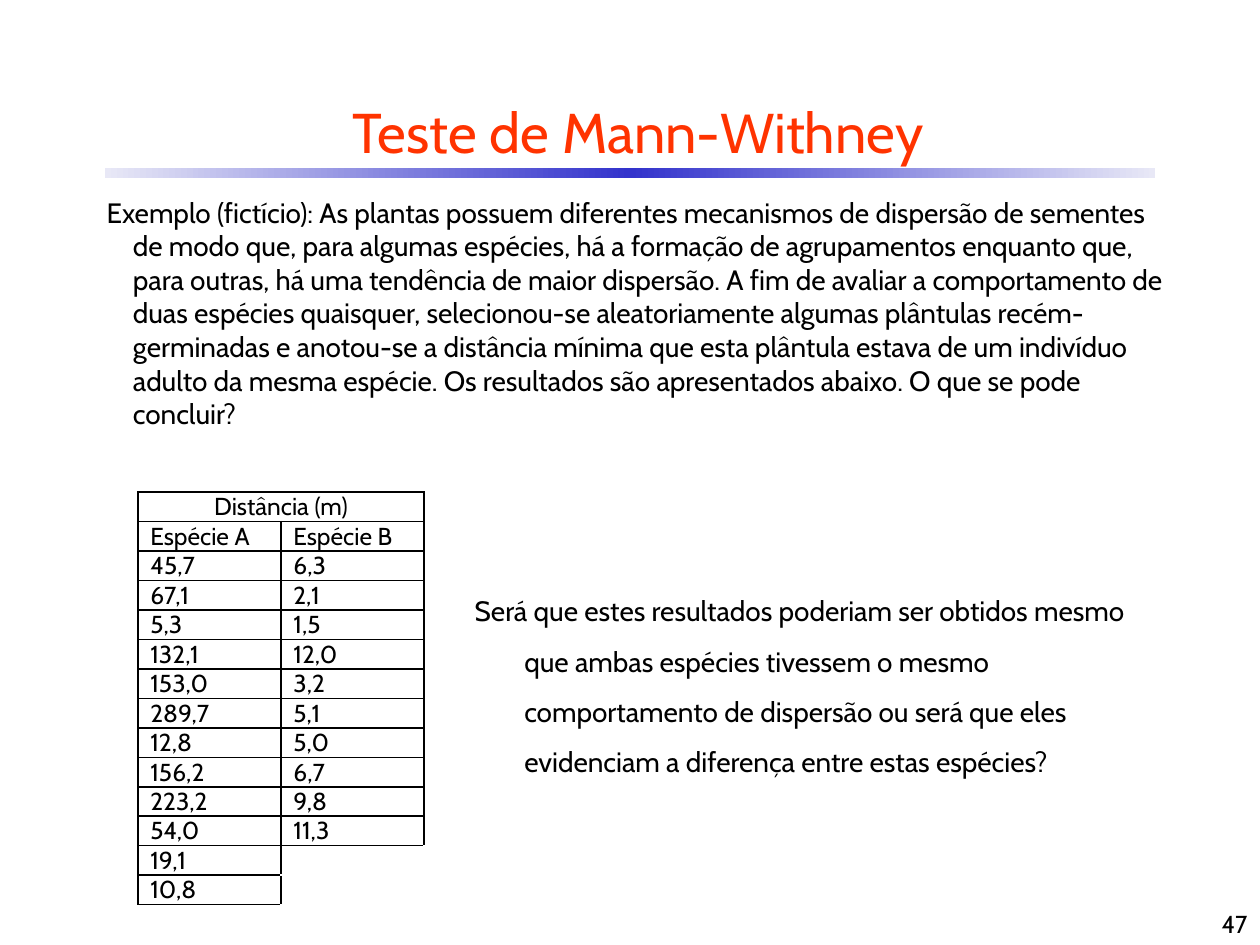
from copy import deepcopy
from itertools import zip_longest

from lxml import etree
from pptx import Presentation
from pptx import util as u
from pptx.dml.color import RGBColor
from pptx.enum import shapes, text
from pptx.oxml import ns

ALIGN = text.PP_ALIGN
ANCHOR = text.MSO_ANCHOR


def color(hex_code):
    return RGBColor.from_string(hex_code)


def write(frame, words, size=16, ink="000000", align=ALIGN.LEFT, hanging=0, spacing=None):
    """Fill the frame's first paragraph; hanging is the indent in cm."""
    paragraph = frame.paragraphs[0]
    paragraph.alignment = align
    if spacing:
        paragraph.line_spacing = spacing
    if hanging:
        properties = paragraph._p.get_or_add_pPr()
        properties.set("marL", str(u.Cm(hanging)))
        properties.set("indent", str(u.Cm(-hanging)))
    if not words:  # keeps an empty table row from growing
        etree.SubElement(paragraph._p, ns.qn("a:endParaRPr"), sz=str(size * 100))
        return
    run = paragraph.add_run()
    run.text = words
    run.font.name = "Cabin"
    run.font.size = u.Pt(size)
    run.font.color.rgb = color(ink)


deck = Presentation()
deck.slide_width, deck.slide_height = u.Cm(25.4), u.Cm(19.05)
slide = deck.slides.add_slide(deck.slide_layouts[6])

# Rule under the title, fading towards both ends
rule = slide.shapes.add_shape(
    shapes.MSO_SHAPE.RECTANGLE, u.Cm(2.12), u.Cm(3.39), u.Cm(21.17), u.Cm(0.21))
rule.shadow.inherit = False
rule.line.fill.background()
rule.fill.gradient()
rule.fill.gradient_angle = 0
first_stop = rule.fill._fill._gradFill.gsLst[0]
first_stop.addnext(deepcopy(first_stop))
for stop, (place, shade) in zip(
        rule.fill.gradient_stops, [(0, "E8E8F6"), (0.5, "3333CC"), (1, "E8E8F6")]):
    stop.position = place
    stop.color.rgb = color(shade)

# Title, example, question and page number
example = (
    "Exemplo (fictício): As plantas possuem diferentes mecanismos de dispersão de sementes "
    "de modo que, para algumas espécies, há a formação de agrupamentos enquanto que, para "
    "outras, há uma tendência de maior dispersão. A fim de avaliar a comportamento de duas "
    "espécies quaisquer, selecionou-se aleatoriamente algumas plântulas recém-germinadas e "
    "anotou-se a distância mínima que esta plântula estava de um indivíduo adulto da mesma "
    "espécie. Os resultados são apresentados abaixo. O que se pode concluir?")
question = (
    "Será que estes resultados poderiam ser obtidos mesmo que ambas espécies tivessem o "
    "mesmo comportamento de dispersão ou será que eles evidenciam a diferença entre estas "
    "espécies?")
passages = [
    ("Teste de Mann-Withney", (0.84, 1.7, 24.05, 1.9), ANCHOR.MIDDLE,
     dict(size=32, ink="FF3300", align=ALIGN.CENTER)),
    (example, (1.9, 3.81, 22.1, 5.05), ANCHOR.TOP, dict(hanging=0.53)),
    (question, (9.32, 11.51, 14.1, 4.24), ANCHOR.TOP, dict(hanging=1, spacing=1.5)),
    ("47", (20.12, 17.78, 5.28, 1.27), ANCHOR.BOTTOM, dict(size=14, align=ALIGN.RIGHT)),
]
for words, place, anchor, style in passages:
    frame = slide.shapes.add_textbox(*map(u.Cm, place)).text_frame
    frame.word_wrap = True
    frame.vertical_anchor = anchor
    write(frame, words, **style)

# Distances measured for each species
species_a = ["45,7", "67,1", "5,3", "132,1", "153,0", "289,7", "12,8", "156,2",
             "223,2", "54,0", "19,1", "10,8"]
species_b = ["6,3", "2,1", "1,5", "12,0", "3,2", "5,1", "5,0", "6,7", "9,8", "11,3"]
rows = [("Distância (m)", ""), ("Espécie A", "Espécie B"),
        *zip_longest(species_a, species_b, fillvalue="")]
last_b = len(species_b) + 1

distances = slide.shapes.add_table(
    len(rows), 2, u.Cm(2.78), u.Cm(9.92), u.Cm(5.77), u.Cm(8.31)).table
distances.first_row = distances.horz_banding = False
for row in distances.rows:
    row.height = u.Cm(8.31 / len(rows))
distances.cell(0, 0).merge(distances.cell(0, 1))

for r, values in enumerate(rows):
    for c, value in enumerate(values):
        cell = distances.cell(r, c)
        cell.vertical_anchor = ANCHOR.MIDDLE
        cell.margin_left = cell.margin_right = u.Cm(0.25)
        cell.margin_top = cell.margin_bottom = 0
        write(cell.text_frame, value, size=14, align=ALIGN.LEFT if r else ALIGN.CENTER)

        sides = "LRTB"
        if c == 1 and r > last_b:
            sides = "LT" if r == last_b + 1 else "L"
        for side in sides:
            border = etree.SubElement(
                cell._tc.get_or_add_tcPr(), ns.qn(f"a:ln{side}"), w=str(u.Pt(1)))
            ink = etree.SubElement(border, ns.qn("a:solidFill"))
            etree.SubElement(ink, ns.qn("a:srgbClr"), val="000000")
        cell.fill.solid()
        cell.fill.fore_color.rgb = color("FFFFFF")

deck.save("out.pptx")
